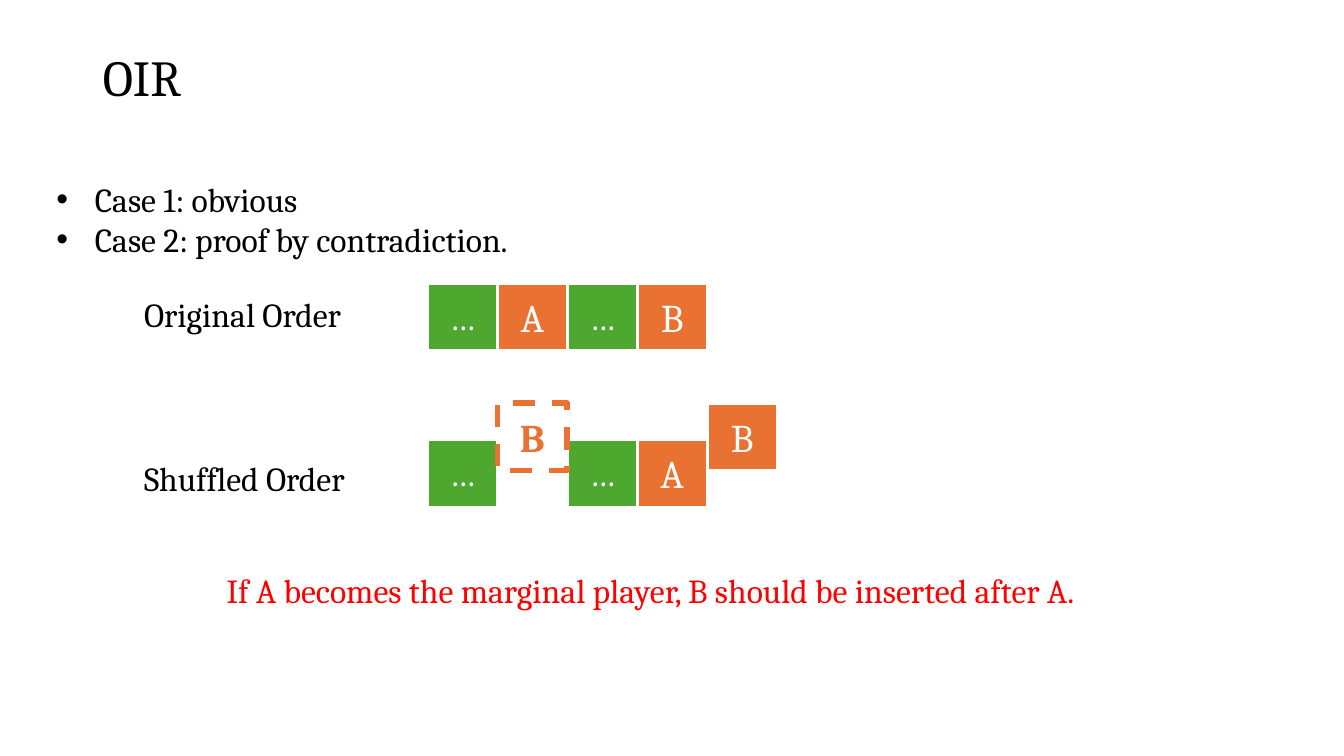
from pptx import Presentation
from pptx.dml.color import RGBColor
from pptx.enum.dml import MSO_LINE
from pptx.enum.shapes import MSO_SHAPE
from pptx.enum.text import MSO_ANCHOR, MSO_AUTO_SIZE, PP_ALIGN
from pptx.util import Inches, Pt

RECT = MSO_SHAPE.RECTANGLE
DASH = MSO_LINE.DASH
MID, TOP = MSO_ANCHOR.MIDDLE, MSO_ANCHOR.TOP
LEFT, CENTER = PP_ALIGN.LEFT, PP_ALIGN.CENTER
FIXED = MSO_AUTO_SIZE.NONE


class Theme:
    font = "Cambria"
    black = RGBColor.from_string("000000")
    white = RGBColor.from_string("FFFFFF")
    red = RGBColor.from_string("FF0000")
    orange = RGBColor.from_string("E97132")
    green = RGBColor.from_string("4EA72E")
    title, tile, text = Pt(36), Pt(28), Pt(24)


def place(shape, *box):
    for name, size in zip(("left", "top", "width", "height"), box):
        setattr(shape, name, Inches(size))


def write(shape, lines, size, color, align=LEFT, anchor=TOP, bold=False, space=1.0):
    frame = shape.text_frame
    frame.text = "\n".join(lines)
    shape_look = {"word_wrap": True, "auto_size": FIXED, "vertical_anchor": anchor}
    for name, value in shape_look.items():
        setattr(frame, name, value)
    para_look = {"alignment": align, "line_spacing": space,
                 "space_before": Pt(0), "space_after": Pt(0)}
    font_look = {"name": Theme.font, "size": size, "bold": bold}
    for para in frame.paragraphs:
        for name, value in para_look.items():
            setattr(para, name, value)
        for run in para.runs:
            for name, value in font_look.items():
                setattr(run.font, name, value)
            run.font.color.rgb = color


deck = Presentation()
deck.slide_width, deck.slide_height = Inches(13.33), Inches(7.5)
slide = deck.slides.add_slide(deck.slide_layouts[1])
title, body = slide.placeholders[0], slide.placeholders[1]

place(title, 0.92, 0.07, 11.5, 1.45)
write(title, ["OIR"], Theme.title, Theme.black, anchor=MID, space=0.9)

place(body, 0.46, 1.72, 5.27, 0.91)
write(body, ["Case 1: obvious", "Case 2: proof by contradiction."], Theme.text, Theme.black)
for para in body.text_frame.paragraphs:
    props = para._p.get_or_add_pPr()
    props.set("marL", str(Inches(0.38)))
    props.set("indent", str(-Inches(0.38)))

labels = [
    ("Original Order", 1.33, 2.87, 2.32, Theme.black),
    ("Shuffled Order", 1.33, 4.49, 2.32, Theme.black),
    ("If A becomes the marginal player, B should be inserted after A.",
     2.15, 5.6, 9.24, Theme.red),
]
for text, left, top, width, color in labels:
    label = slide.shapes.add_textbox(0, 0, 0, 0)
    place(label, left, top, width, 0.5)
    write(label, [text], Theme.text, color)

start, step, wide, high = 4.24, 0.694, 0.69, 0.67
first, second, raised = 2.81, 4.36, 4.0
tiles = [
    ("…", 0, first), ("A", 1, first), ("…", 2, first), ("B", 3, first),
    ("…", 0, second), ("…", 2, second), ("A", 3, second),
    ("B", 4, raised), ("B", 1, raised),
]
for text, col, top in tiles:
    ghost = (col, top) == (1, raised)
    dots = text == "…"
    fill = Theme.white if ghost else Theme.green if dots else Theme.orange
    ink = Theme.orange if ghost else Theme.white
    tile = slide.shapes.add_shape(RECT, 0, 0, 0, 0)
    place(tile, start + col * step, top, wide, high)
    tile.shadow.inherit = False
    tile.fill.solid()
    tile.fill.fore_color.rgb = fill
    tile.line.color.rgb = ink
    tile.line.width = Pt(4 if ghost else 2)
    if ghost:
        tile.line.dash_style = DASH
    write(tile, [text], Theme.text if dots else Theme.tile, ink, CENTER, MID, ghost)

deck.save("out.pptx")
